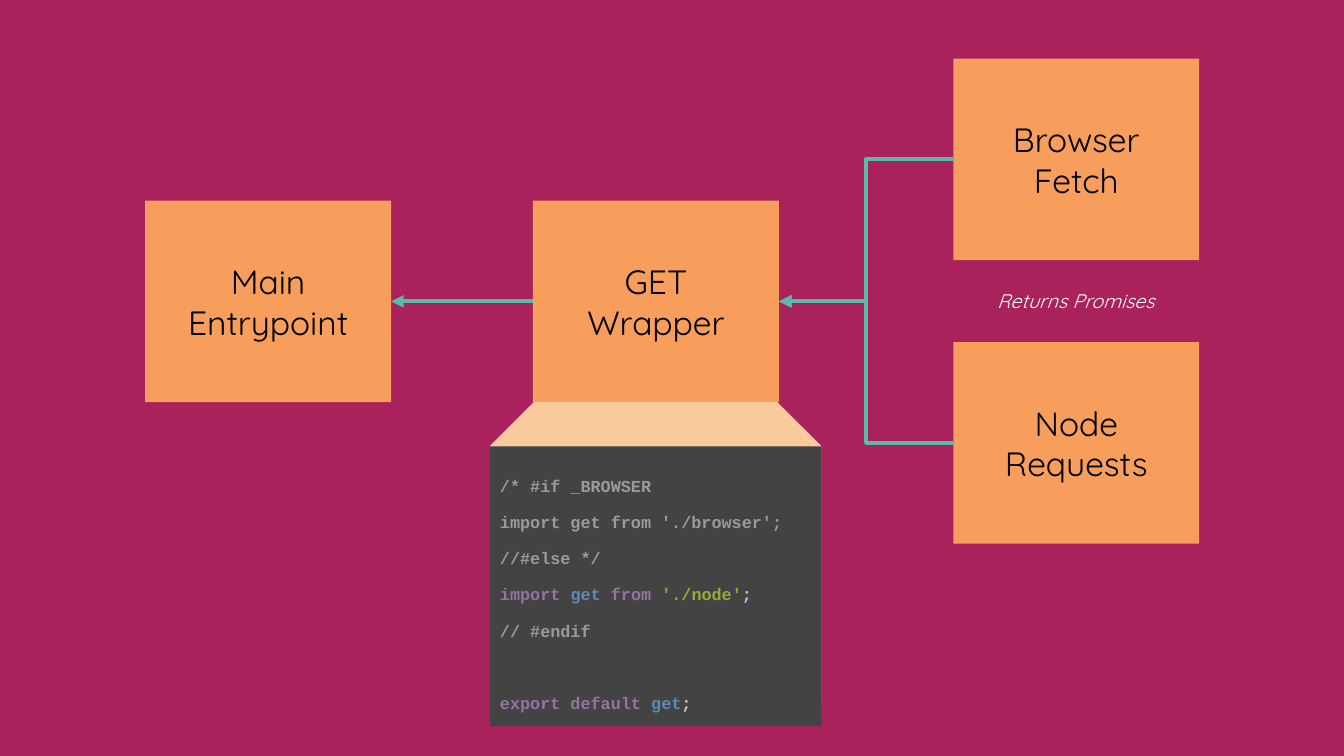
from lxml import etree
from pptx import Presentation
from pptx import util as u
from pptx.dml.color import RGBColor
from pptx.enum import shapes, text
from pptx.oxml.ns import qn

PLUM = RGBColor(0xA9, 0x22, 0x5C)
ORANGE = RGBColor(0xF8, 0x9E, 0x5C)
PEACH = RGBColor(0xF9, 0xCB, 0x9C)
TEAL = RGBColor(0x5A, 0xBA, 0xAE)
CHARCOAL = RGBColor(0x43, 0x43, 0x43)
BLACK = RGBColor(0, 0, 0)
WHITE = RGBColor(0xFF, 0xFF, 0xFF)

COMMENT = RGBColor(0x9A, 0x9B, 0x99)
KEYWORD = RGBColor(0x98, 0x72, 0xA2)
NAME = RGBColor(0x60, 0x89, 0xB4)
STRING = RGBColor(0x9A, 0xA8, 0x3A)
PUNCTUATION = RGBColor(0xC5, 0xC8, 0xC6)

LEFT_SITE, RIGHT_SITE = 1, 3  # connection sites of a rectangle

# Code lines: space before in points, then coloured pieces
CODE = [
    (0, [("/* #if _BROWSER", COMMENT)]),
    (0, [("import get from './browser';", COMMENT)]),
    (0, [("//#else */", COMMENT)]),
    (0, [("import", KEYWORD), (" get", NAME), (" from ", KEYWORD),
         ("'./node'", STRING), (";", PUNCTUATION)]),
    (0, [("// #endif", COMMENT)]),
    (26, [("export default", KEYWORD), (" get", NAME), (";", PUNCTUATION)]),
]


class Diagram:
    """Draws on one slide; lengths are percentages of its width and height."""

    body_font = "Quicksand"
    code_font = "Courier New"
    box_size = (18.3, 26.67)

    def __init__(self, prs):
        self.prs = prs
        self.slide = prs.slides.add_slide(prs.slide_layouts[6])
        fill = self.slide.background.fill
        fill.solid()
        fill.fore_color.rgb = PLUM

    def place(self, x, y, w, h):
        width, height = self.prs.slide_width, self.prs.slide_height
        return [u.Emu(round(share * side / 100)) for share, side in
                ((x, width), (y, height), (w, width), (h, height))]

    def style(self, r, font, size, color, bold=False, italic=False):
        r.font.name = font
        r.font.size = u.Pt(size)
        r.font.color.rgb = color
        r.font.bold = bold
        r.font.italic = italic

    def frame(self, sp, anchor):
        tf = sp.text_frame
        tf.word_wrap = True
        tf.vertical_anchor = anchor
        tf.margin_left = tf.margin_right = u.Inches(0.1)
        tf.margin_top = tf.margin_bottom = u.Inches(0.1)
        return tf

    def centred_text(self, tf, words, size, color, italic=False):
        tf.text = words
        for p in tf.paragraphs:
            p.alignment = text.PP_ALIGN.CENTER
            for r in p.runs:
                self.style(r, self.body_font, size, color, italic=italic)

    def shape(self, kind, x, y, w, h, color):
        sp = self.slide.shapes.add_shape(kind, *self.place(x, y, w, h))
        sp.shadow.inherit = False
        sp.fill.solid()
        sp.fill.fore_color.rgb = color
        sp.line.fill.background()
        return sp

    def box(self, label, x, y):
        sp = self.shape(shapes.MSO_SHAPE.RECTANGLE, x, y, *self.box_size, ORANGE)
        self.centred_text(self.frame(sp, text.MSO_ANCHOR.MIDDLE), label, 24, BLACK)
        return sp

    def caption(self, words, x, y, w, h):
        sp = self.slide.shapes.add_textbox(*self.place(x, y, w, h))
        tf = self.frame(sp, text.MSO_ANCHOR.TOP)
        self.centred_text(tf, words, 14, WHITE, italic=True)

    def arrow(self, kind, source, target):
        """Runs from the left side of source to the right side of target."""
        line = self.slide.shapes.add_connector(kind, 0, 0, 0, 0)
        line.begin_connect(source, LEFT_SITE)
        line.end_connect(target, RIGHT_SITE)
        line.line.color.rgb = TEAL
        line.line.width = u.Pt(3)
        etree.SubElement(line.line._get_or_add_ln(), qn("a:tailEnd"), type="triangle")
        etree.SubElement(line._element.spPr, qn("a:effectLst"))

    def callout_neck(self, x, y, w, h, snip):
        kind = shapes.MSO_SHAPE.SNIP_2_SAME_RECTANGLE
        sp = self.shape(kind, x, y, w, h, PEACH)
        sp.adjustments[0] = snip
        sp.adjustments[1] = 0

    def code_panel(self, lines, x, y, w, h):
        sp = self.shape(shapes.MSO_SHAPE.RECTANGLE, x, y, w, h, CHARCOAL)
        tf = self.frame(sp, text.MSO_ANCHOR.MIDDLE)
        for i, (gap, pieces) in enumerate(lines):
            p = tf.add_paragraph() if i else tf.paragraphs[0]
            p.alignment = text.PP_ALIGN.LEFT
            p.line_spacing = 1.8
            p.space_before = u.Pt(gap)
            for piece, color in pieces:
                r = p.add_run()
                r.text = piece
                self.style(r, self.code_font, 12, color, bold=True)


def main():
    prs = Presentation()
    prs.slide_width, prs.slide_height = u.Inches(13.33), u.Inches(7.5)
    d = Diagram(prs)

    middle_row, right_column = 26.53, 70.93
    entrypoint = d.box("Main\nEntrypoint", 10.8, middle_row)
    wrapper = d.box("GET\nWrapper", 39.66, middle_row)
    browser = d.box("Browser\nFetch", right_column, 7.75)
    node = d.box("Node\nRequests", right_column, 45.25)

    elbow, straight = shapes.MSO_CONNECTOR.ELBOW, shapes.MSO_CONNECTOR.STRAIGHT
    d.arrow(elbow, browser, wrapper)
    d.arrow(elbow, node, wrapper)
    d.arrow(straight, wrapper, entrypoint)
    d.caption("Returns Promises", 72.85, 36.9, 14.4, 5.9)

    panel_x, panel_width = 36.46, 24.63
    d.callout_neck(panel_x, 53.2, panel_width, 39.5, 0.146)
    d.code_panel(CODE, panel_x, 59.05, panel_width, 37)
    prs.save("out.pptx")


if __name__ == "__main__":
    main()
